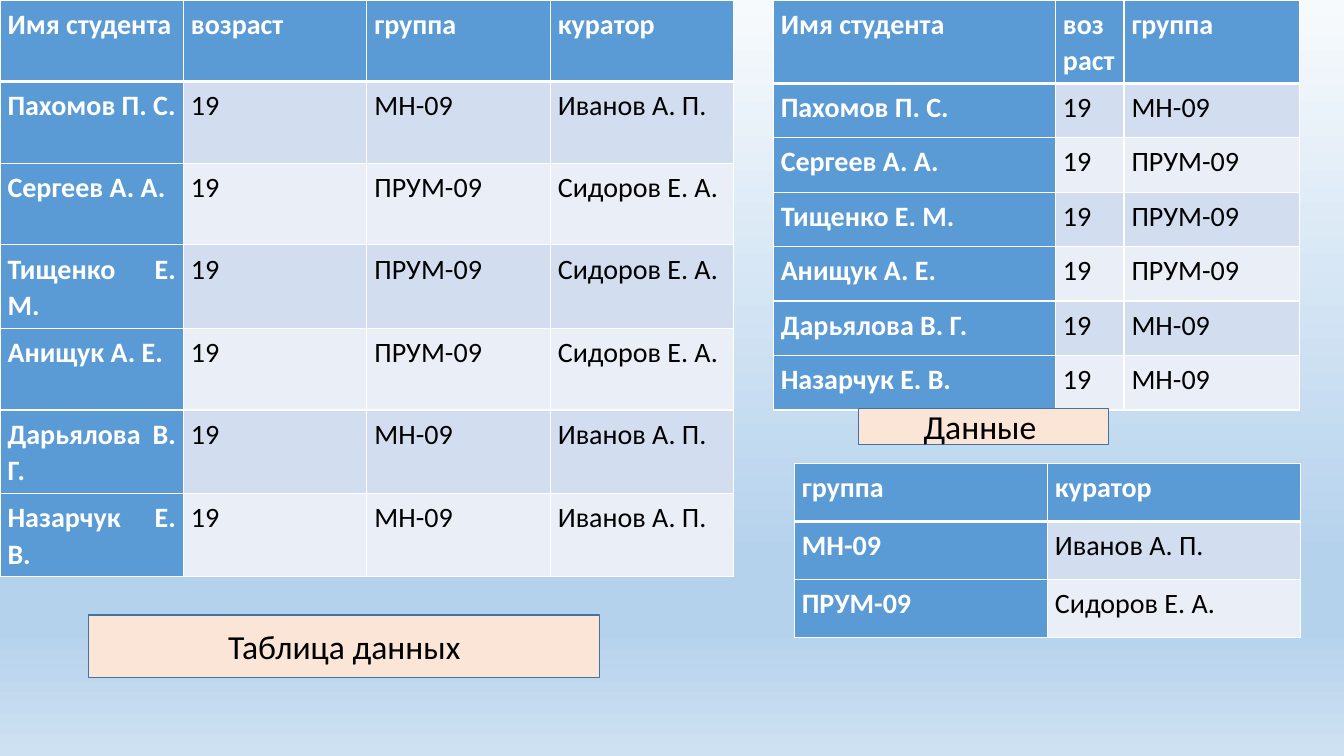
from dataclasses import dataclass

import lxml.etree
import pptx
import pptx.dml.color
import pptx.enum.shapes
import pptx.enum.text
import pptx.oxml.ns
import pptx.util

COLORS = {
    "header": "5B9BD5",
    "odd_row": "D2DEEF",
    "even_row": "EAEFF7",
    "grid": "FFFFFF",
    "light_text": "FFFFFF",
    "dark_text": "000000",
    "caption": "FBE5D6",
    "caption_edge": "43739E",
}
SKY = ((0, "F7FAFD"), (74, "B5D2EC"), (83, "B5D2EC"), (100, "CEE1F2"))
SLIDE_WIDTH = pptx.util.Inches(13.33)
SLIDE_HEIGHT = pptx.util.Inches(7.5)

CELL_FORMAT = {
    "margin_left": pptx.util.Pt(5.4),
    "margin_right": pptx.util.Pt(5.4),
    "margin_top": pptx.util.Inches(0.05),
    "margin_bottom": pptx.util.Inches(0.05),
}
CELL_PARAGRAPH = {
    "alignment": pptx.enum.text.PP_ALIGN.JUSTIFY,
    "line_spacing": 1.07,
    "space_after": pptx.util.Pt(8),
}
CELL_FONT = {"name": "Calibri", "size": pptx.util.Pt(20)}
CAPTION_FONT = {"name": "Calibri", "size": pptx.util.Pt(24)}


@dataclass(frozen=True)
class Relation:
    left: float
    top: float
    columns: tuple[float, ...]
    header_height: float
    row_height: float
    records: tuple[tuple[str, ...], ...]


@dataclass(frozen=True)
class Caption:
    left: float
    top: float
    width: float
    height: float
    text: str


def across(percent: float) -> int:
    return round(SLIDE_WIDTH * percent / 100)


def down(percent: float) -> int:
    return round(SLIDE_HEIGHT * percent / 100)


def rgb(name: str) -> pptx.dml.color.RGBColor:
    return pptx.dml.color.RGBColor.from_string(COLORS[name])


def apply_format(target: object, values: dict) -> None:
    for attribute, value in values.items():
        setattr(target, attribute, value)


def paint_sky(slide) -> None:
    fill = slide.background.fill
    fill.gradient()
    fill.gradient_angle = 270
    qn = pptx.oxml.ns.qn
    stops = next(slide.background._cSld.iter(qn("a:gsLst")))
    for stop in list(stops):
        stops.remove(stop)
    for position, color in SKY:
        stop = lxml.etree.SubElement(stops, qn("a:gs"), pos=str(position * 1000))
        lxml.etree.SubElement(stop, qn("a:srgbClr"), val=color)


def border_cell(cell, row: int) -> None:
    qn = pptx.oxml.ns.qn
    properties = cell._tc.get_or_add_tcPr()
    widths = {"L": 1, "R": 1, "T": 3 if row == 1 else 1, "B": 3 if row == 0 else 1}
    for place, (side, points) in enumerate(widths.items()):
        edge = lxml.etree.Element(qn(f"a:ln{side}"), w=str(pptx.util.Pt(points)))
        solid = lxml.etree.SubElement(edge, qn("a:solidFill"))
        lxml.etree.SubElement(solid, qn("a:srgbClr"), val=COLORS["grid"])
        properties.insert(place, edge)


def fill_cell(cell, text: str, row: int, column: int) -> None:
    heading = row == 0 or column == 0
    band = "header" if heading else "odd_row" if row % 2 else "even_row"
    apply_format(cell, CELL_FORMAT)
    cell.fill.solid()
    cell.fill.fore_color.rgb = rgb(band)
    border_cell(cell, row)
    paragraph = cell.text_frame.paragraphs[0]
    apply_format(paragraph, CELL_PARAGRAPH)
    run = paragraph.add_run()
    run.text = text
    apply_format(run.font, CELL_FONT | {"bold": heading})
    run.font.color.rgb = rgb("light_text" if heading else "dark_text")


def draw_relation(slide, relation: Relation) -> None:
    count = len(relation.records)
    heights = [relation.header_height] + [relation.row_height] * (count - 1)
    table = slide.shapes.add_table(
        count, len(relation.columns),
        across(relation.left), down(relation.top),
        across(sum(relation.columns)), down(sum(heights)),
    ).table
    table.first_col = True
    for column, width in zip(table.columns, relation.columns):
        column.width = across(width)
    for row, (height, record) in enumerate(zip(heights, relation.records)):
        table.rows[row].height = down(height)
        for column, text in enumerate(record):
            fill_cell(table.cell(row, column), text, row, column)


def draw_caption(slide, caption: Caption) -> None:
    box = slide.shapes.add_shape(
        pptx.enum.shapes.MSO_SHAPE.RECTANGLE,
        across(caption.left), down(caption.top),
        across(caption.width), down(caption.height),
    )
    box.shadow.inherit = False
    box.fill.solid()
    box.fill.fore_color.rgb = rgb("caption")
    box.line.color.rgb = rgb("caption_edge")
    box.line.width = pptx.util.Pt(1)
    box.text_frame.word_wrap = True
    box.text_frame.vertical_anchor = pptx.enum.text.MSO_ANCHOR.MIDDLE
    paragraph = box.text_frame.paragraphs[0]
    paragraph.alignment = pptx.enum.text.PP_ALIGN.CENTER
    run = paragraph.add_run()
    run.text = caption.text
    apply_format(run.font, CAPTION_FONT)
    run.font.color.rgb = rgb("dark_text")


CURATORS = {"МН-09": "Иванов А. П.", "ПРУМ-09": "Сидоров Е. А."}
STUDENTS = (
    ("Пахомов П. С.", "19", "МН-09"),
    ("Сергеев А. А.", "19", "ПРУМ-09"),
    ("Тищенко Е. М.", "19", "ПРУМ-09"),
    ("Анищук А. Е.", "19", "ПРУМ-09"),
    ("Дарьялова В. Г.", "19", "МН-09"),
    ("Назарчук Е. В.", "19", "МН-09"),
)
STUDENT_HEADER = ("Имя студента", "возраст", "группа")

full_records = (
    STUDENT_HEADER + ("куратор",),
    *(student + (CURATORS[student[2]],) for student in STUDENTS),
)
RELATIONS = (
    Relation(0, 0, (13.65,) * 4, 10.8, 10.8, full_records),
    Relation(57.53, 0, (21, 5.1, 13.05), 10.93, 7.2, (STUDENT_HEADER, *STUDENTS)),
    Relation(59.1, 61.33, (18.83,) * 2, 7.65, 7.65,
             (("группа", "куратор"), *CURATORS.items())),
)
CAPTIONS = (
    Caption(6.6, 81.33, 38.03, 8.27, "Таблица данных"),
    Caption(63.9, 54, 18.6, 4.8, "Данные "),
)


def main() -> None:
    presentation = pptx.Presentation()
    presentation.slide_width = SLIDE_WIDTH
    presentation.slide_height = SLIDE_HEIGHT
    slide = presentation.slides.add_slide(presentation.slide_layouts[6])
    paint_sky(slide)
    for relation in RELATIONS:
        draw_relation(slide, relation)
    for caption in CAPTIONS:
        draw_caption(slide, caption)
    presentation.save("out.pptx")


if __name__ == "__main__":
    main()
